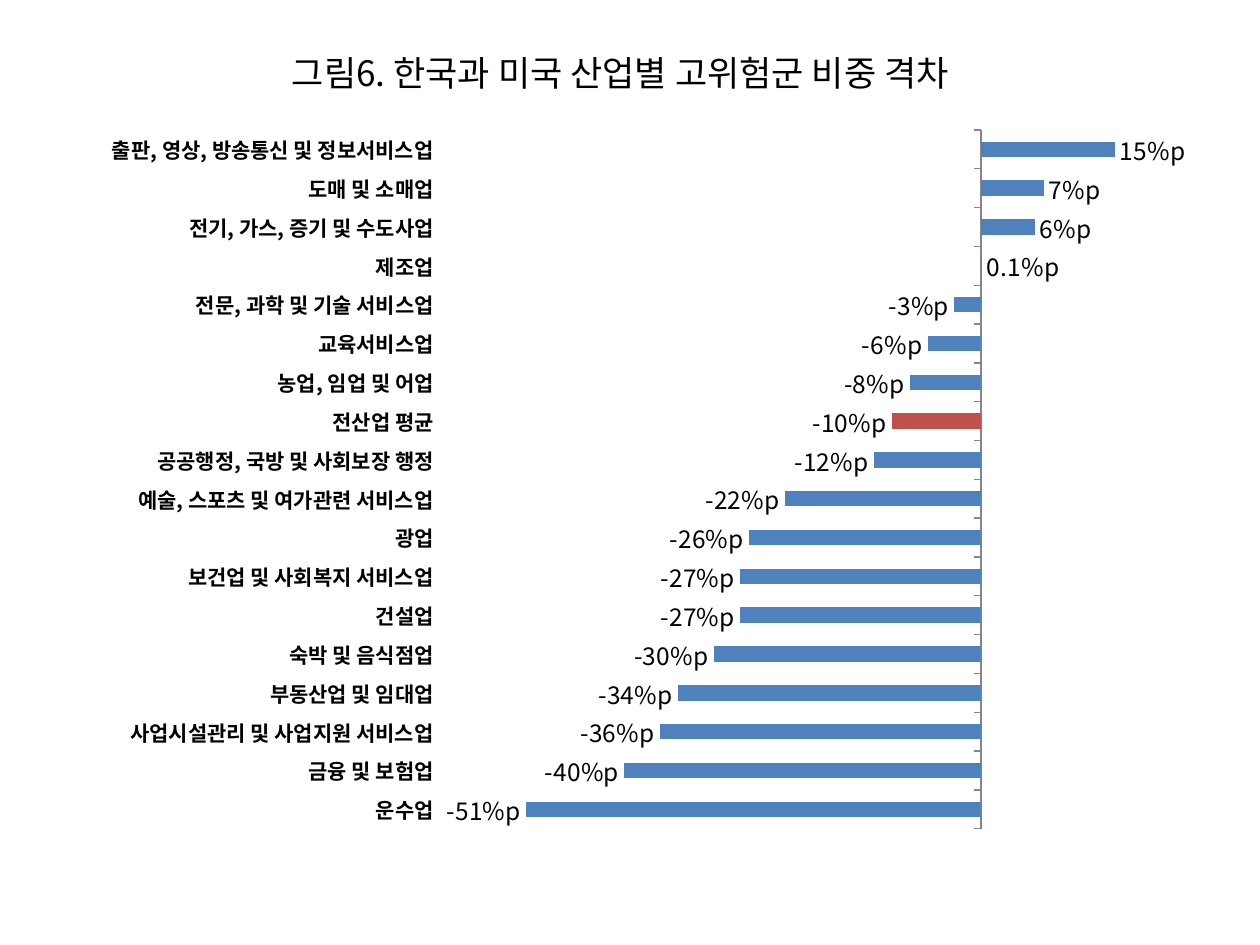
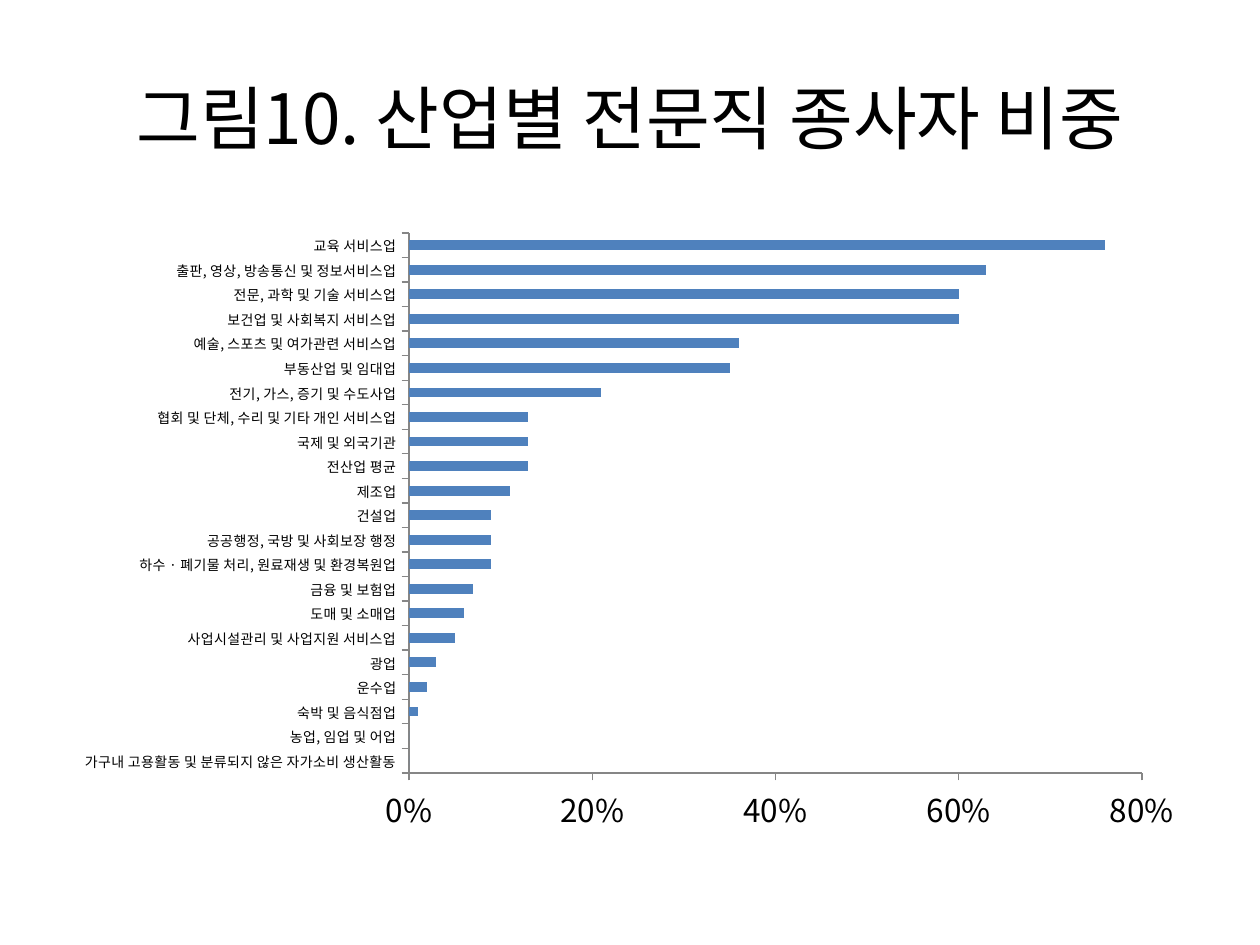
from copy import deepcopy
from dataclasses import dataclass

from lxml.etree import SubElement
from pptx import Presentation
from pptx.chart.data import CategoryChartData
from pptx.dml.color import RGBColor
from pptx.enum.chart import XL_CHART_TYPE, XL_LABEL_POSITION, XL_TICK_LABEL_POSITION, XL_TICK_MARK
from pptx.enum.text import MSO_ANCHOR, MSO_AUTO_SIZE, PP_ALIGN
from pptx.oxml.ns import qn
from pptx.util import Emu, Pt

PX_PER_INCH = 126
TITLE_ONLY = 5


@dataclass(frozen=True)
class Theme:
    font: str = "Noto Sans CJK KR"
    text: RGBColor = RGBColor(0x00, 0x00, 0x00)
    bar: RGBColor = RGBColor(0x4F, 0x81, 0xBD)
    average_bar: RGBColor = RGBColor(0xC0, 0x50, 0x4D)
    axis: RGBColor = RGBColor(0x86, 0x86, 0x86)
    figure_title_size: float = 20
    title_size: float = 39.6
    axis_size: float = 18
    label_size: float = 14
    gap_category_size: float = 12
    share_category_size: float = 8


THEME = Theme()

# Bars are listed from the bottom up.
RISK_GAPS = [
    ("운수업", -0.51),
    ("금융 및 보험업", -0.40),
    ("사업시설관리 및 사업지원 서비스업", -0.36),
    ("부동산업 및 임대업", -0.34),
    ("숙박 및 음식점업", -0.30),
    ("건설업", -0.27),
    ("보건업 및 사회복지 서비스업", -0.27),
    ("광업", -0.26),
    ("예술, 스포츠 및 여가관련 서비스업", -0.22),
    ("공공행정, 국방 및 사회보장 행정", -0.12),
    ("전산업 평균", -0.10),
    ("농업, 임업 및 어업", -0.08),
    ("교육서비스업", -0.06),
    ("전문, 과학 및 기술 서비스업", -0.03),
    ("제조업", 0.001),
    ("전기, 가스, 증기 및 수도사업", 0.06),
    ("도매 및 소매업", 0.07),
    ("출판, 영상, 방송통신 및 정보서비스업", 0.15),
]

PROFESSIONAL_SHARES = [
    ("가구내 고용활동 및 분류되지 않은 자가소비 생산활동", 0),
    ("농업, 임업 및 어업", 0),
    ("숙박 및 음식점업", 0.01),
    ("운수업", 0.02),
    ("광업", 0.03),
    ("사업시설관리 및 사업지원 서비스업", 0.05),
    ("도매 및 소매업", 0.06),
    ("금융 및 보험업", 0.07),
    ("하수 · 폐기물 처리, 원료재생 및 환경복원업", 0.09),
    ("공공행정, 국방 및 사회보장 행정", 0.09),
    ("건설업", 0.09),
    ("제조업", 0.11),
    ("전산업 평균", 0.13),
    ("국제 및 외국기관", 0.13),
    ("협회 및 단체, 수리 및 기타 개인 서비스업", 0.13),
    ("전기, 가스, 증기 및 수도사업", 0.21),
    ("부동산업 및 임대업", 0.35),
    ("예술, 스포츠 및 여가관련 서비스업", 0.36),
    ("보건업 및 사회복지 서비스업", 0.60),
    ("전문, 과학 및 기술 서비스업", 0.60),
    ("출판, 영상, 방송통신 및 정보서비스업", 0.63),
    ("교육 서비스업", 0.76),
]


def px(length):
    return Emu(round(length * 914400 / PX_PER_INCH))


def format_font(font, size, bold=False, color=THEME.text):
    font.name = THEME.font
    font.size = Pt(size)
    font.bold = bold
    font.color.rgb = color


def use_font_for_korean(element):
    """Repeat each Latin typeface as the East Asian one."""
    for latin in list(element.iter(qn("a:latin"))):
        east_asian = deepcopy(latin)
        east_asian.tag = qn("a:ea")
        latin.addnext(east_asian)


def write_text(text_frame, text, size, bold=False, align=PP_ALIGN.CENTER):
    paragraph = text_frame.paragraphs[0]
    paragraph.alignment = align
    run = paragraph.add_run()
    run.text = text
    format_font(run.font, size, bold)


def add_titled_slide(presentation, text, box, size):
    slide = presentation.slides.add_slide(presentation.slide_layouts[TITLE_ONLY])
    title = slide.shapes.title
    title.left, title.top, title.width, title.height = map(px, box)
    title.text_frame.word_wrap = True
    title.text_frame.auto_size = MSO_AUTO_SIZE.NONE
    title.text_frame.vertical_anchor = MSO_ANCHOR.MIDDLE
    write_text(title.text_frame, text, size)
    use_font_for_korean(title.element)
    return slide


def place_plot(chart, box, plot_box):
    """Fix the inner plot area, given in slide px, within the chart box."""
    left, top, width, height = box
    plot_left, plot_top, plot_width, plot_height = plot_box
    plot_area = chart.element.find(".//" + qn("c:plotArea"))
    layout = plot_area.find(qn("c:layout"))
    if layout is None:
        layout = plot_area.makeelement(qn("c:layout"))
        plot_area.insert(0, layout)
    manual = SubElement(layout, qn("c:manualLayout"))
    settings = {
        "layoutTarget": "inner",
        "xMode": "edge",
        "yMode": "edge",
        "x": (plot_left - left) / width,
        "y": (plot_top - top) / height,
        "w": plot_width / width,
        "h": plot_height / height,
    }
    for name, value in settings.items():
        SubElement(manual, qn("c:" + name)).set("val", str(value))


def format_axis(axis, size, bold=False):
    axis.has_major_gridlines = False
    axis.major_tick_mark = XL_TICK_MARK.OUTSIDE
    axis.minor_tick_mark = XL_TICK_MARK.NONE
    axis.format.line.color.rgb = THEME.axis
    axis.format.line.width = Pt(0.75)
    format_font(axis.tick_labels.font, size, bold)


def add_bar_chart(slide, rows, box, plot_box, limits, category_size, category_bold=False):
    data = CategoryChartData(number_format="0%")
    data.categories = [industry for industry, _ in rows]
    data.add_series("Series 1", [value for _, value in rows])
    frame = slide.shapes.add_chart(XL_CHART_TYPE.BAR_CLUSTERED, *map(px, box), data)
    chart = frame.chart
    chart.has_legend = False
    chart.has_title = False
    format_font(chart.font, THEME.axis_size)

    format_axis(chart.category_axis, category_size, category_bold)
    chart.category_axis.tick_label_position = XL_TICK_LABEL_POSITION.LOW
    value_axis = chart.value_axis
    format_axis(value_axis, THEME.axis_size)
    value_axis.minimum_scale, value_axis.maximum_scale = limits
    value_axis.major_unit = 0.2
    value_axis.tick_labels.number_format = "0%"
    value_axis.tick_labels.number_format_is_linked = False

    plot = chart.plots[0]
    plot.gap_width = 150
    plot.vary_by_categories = False
    series = plot.series[0]
    series.invert_if_negative = False
    series.format.fill.solid()
    series.format.fill.fore_color.rgb = THEME.bar
    place_plot(chart, box, plot_box)
    return chart


def add_point_gap_labels(series):
    labels = series.data_labels
    labels.show_value = True
    labels.number_format = r"0%\p"
    labels.number_format_is_linked = False
    labels.position = XL_LABEL_POSITION.OUTSIDE_END
    format_font(labels.font, THEME.label_size)


def add_risk_gap_slide(presentation):
    slide = add_titled_slide(presentation, "그림6. 한국과 미국 산업별 고위험군 비중 격차",
                             (144, 45, 953, 55), THEME.figure_title_size)
    chart = add_bar_chart(slide, RISK_GAPS, box=(63, 116, 1123, 728),
                          plot_box=(447, 130, 715, 699), limits=(-0.6, 0.2),
                          category_size=THEME.gap_category_size, category_bold=True)
    chart.value_axis.visible = False
    series = chart.plots[0].series[0]
    add_point_gap_labels(series)

    industries = [industry for industry, _ in RISK_GAPS]
    average_fill = series.points[industries.index("전산업 평균")].format.fill
    average_fill.solid()
    average_fill.fore_color.rgb = THEME.average_bar
    manufacturing_label = series.points[industries.index("제조업")].data_label
    write_text(manufacturing_label.text_frame, "0.1%p", THEME.label_size)
    manufacturing_label.position = XL_LABEL_POSITION.OUTSIDE_END
    use_font_for_korean(chart.element)


def add_professional_share_slide(presentation):
    slide = add_titled_slide(presentation, "그림10. 산업별 전문직 종사자 비중",
                             (63, 38, 1134, 158), THEME.title_size)
    chart = add_bar_chart(slide, PROFESSIONAL_SHARES, box=(63, 220, 1134, 624),
                          plot_box=(409, 233, 733, 540), limits=(0, 0.8),
                          category_size=THEME.share_category_size)
    use_font_for_korean(chart.element)


def main():
    presentation = Presentation()
    presentation.slide_width = px(1260)
    presentation.slide_height = px(945)
    add_risk_gap_slide(presentation)
    add_professional_share_slide(presentation)
    presentation.save("out.pptx")


if __name__ == "__main__":
    main()
